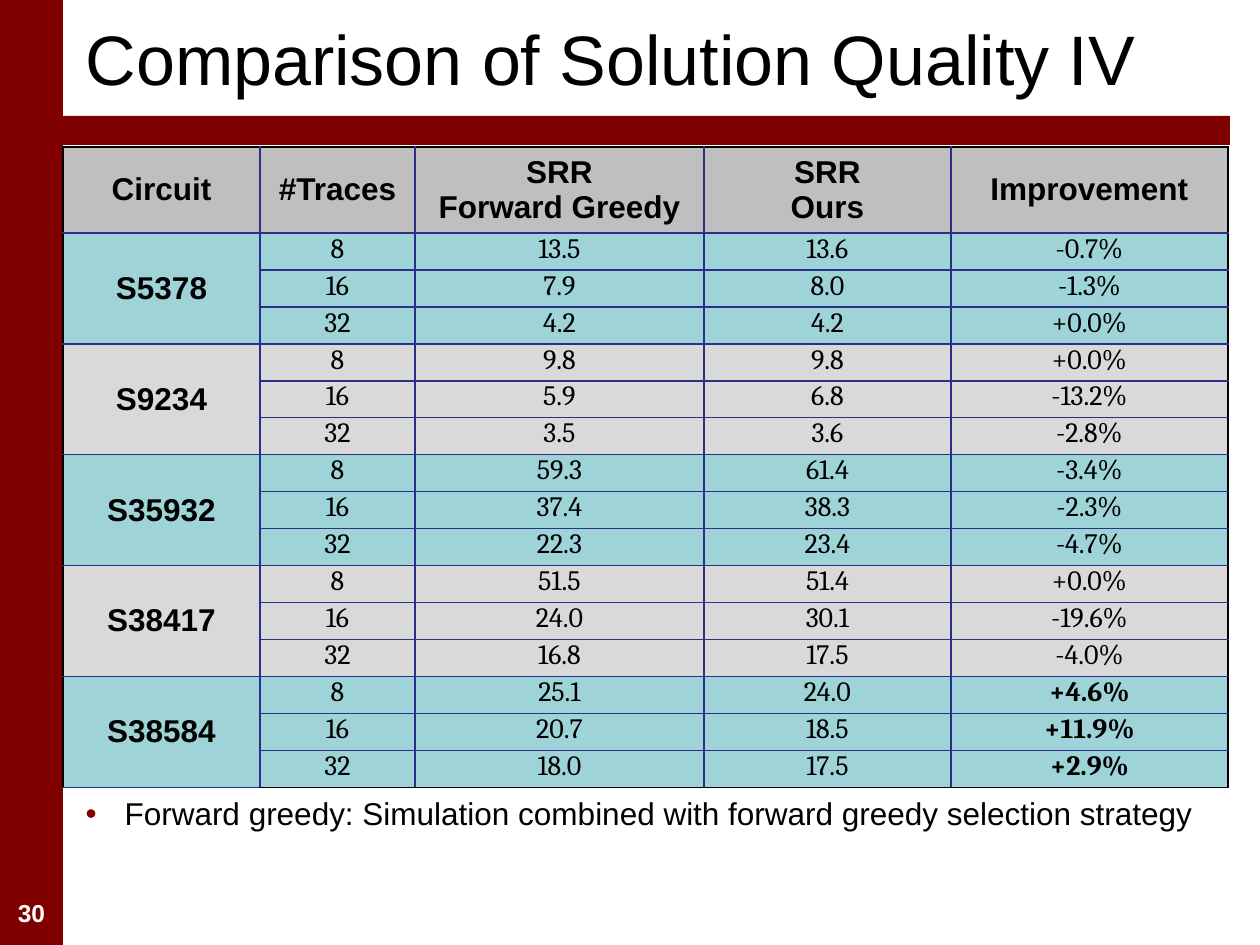
from pptx import Presentation, util as u
from pptx.dml import color
from pptx.enum import shapes, text
from pptx.oxml import ns, parse_xml

PX = u.Inches(10) // 1260  # one px in EMU
THEME = {
    "maroon": "800000", "ink": "000000", "paper": "FFFFFF", "rule": "2D2D8A",
    "header": "BFBFBF", "bands": ("9ED3D7", "D9D9D9"),
    "sans": "Arial", "serif": "Cambria",
    "title": 40, "label": 18, "figure": 16, "number": 14,
}


def write(frame, content, font, size, ink, bold=False, align=text.PP_ALIGN.CENTER):
    frame.text = content
    for paragraph in frame.paragraphs:
        paragraph.alignment = align
        for run in paragraph.runs:
            run.font.name = font
            run.font.size = u.Pt(size)
            run.font.bold = bold
            run.font.color.rgb = color.RGBColor.from_string(ink)


def place(holder, left, top, width, height):
    holder.left, holder.top = left * PX, top * PX
    holder.width, holder.height = width * PX, height * PX


prs = Presentation()
prs.slide_width, prs.slide_height = 1260 * PX, 945 * PX
slide = prs.slides.add_slide(prs.slide_layouts[1])

# Sidebar and band under the title
for box in ((0, 0, 63, 945), (53, 116, 1177, 29)):
    bar = slide.shapes.add_shape(shapes.MSO_SHAPE.RECTANGLE, *(n * PX for n in box))
    bar.shadow.inherit = False
    bar.fill.solid()
    bar.fill.fore_color.rgb = color.RGBColor.from_string(THEME["maroon"])
    bar.line.fill.background()

# Page number
number = slide.shapes.add_textbox(0, 892 * PX, 63 * PX, 42 * PX)
number.text_frame.word_wrap = True
write(number.text_frame, "30", THEME["sans"], THEME["number"], THEME["paper"], True)

# Title
title = slide.shapes.title
place(title, 73, -10, 1155, 136)
title.text_frame.auto_size = text.MSO_AUTO_SIZE.NONE
title.text_frame.vertical_anchor = text.MSO_ANCHOR.MIDDLE
write(title.text_frame, "Comparison of Solution Quality IV", THEME["sans"],
      THEME["title"], THEME["ink"], align=text.PP_ALIGN.LEFT)

# Results: three trace counts for each circuit
headings = ("Circuit", "#Traces", "SRR\nForward Greedy", "SRR\nOurs", "Improvement")
traces = ("8", "16", "32")
results = {
    "S5378": (("13.5", "13.6", "-0.7%"), ("7.9", "8.0", "-1.3%"), ("4.2", "4.2", "+0.0%")),
    "S9234": (("9.8", "9.8", "+0.0%"), ("5.9", "6.8", "-13.2%"), ("3.5", "3.6", "-2.8%")),
    "S35932": (("59.3", "61.4", "-3.4%"), ("37.4", "38.3", "-2.3%"), ("22.3", "23.4", "-4.7%")),
    "S38417": (("51.5", "51.4", "+0.0%"), ("24.0", "30.1", "-19.6%"), ("16.8", "17.5", "-4.0%")),
    "S38584": (("25.1", "24.0", "+4.6%"), ("20.7", "18.5", "+11.9%"), ("18.0", "17.5", "+2.9%")),
}
rows = [headings]
for circuit, figures in results.items():
    for i, (count, values) in enumerate(zip(traces, figures)):
        rows.append(("" if i else circuit, count, *values))

column_widths = (197, 155, 289, 247, 277)
row_heights = (86,) + (37,) * (len(rows) - 1)
comparison = slide.shapes.add_table(
    len(rows), len(headings), 63 * PX, 147 * PX,
    sum(column_widths) * PX, sum(row_heights) * PX).table
comparison.first_row = comparison.horz_banding = False
for column, width in zip(comparison.columns, column_widths):
    column.width = width * PX
for row, height in zip(comparison.rows, row_heights):
    row.height = height * PX

last_row, last_column = len(rows) - 1, len(headings) - 1
for r, row in enumerate(rows):
    for c, content in enumerate(row):
        cell = comparison.cell(r, c)
        is_label = r == 0 or c == 0
        is_gain = c == last_column and content.startswith("+") and content != "+0.0%"
        cell.margin_left = cell.margin_right = PX
        cell.margin_top = cell.margin_bottom = 0
        cell.vertical_anchor = text.MSO_ANCHOR.MIDDLE if is_label else text.MSO_ANCHOR.TOP
        write(cell.text_frame, content, THEME["sans" if is_label else "serif"],
              THEME["label" if is_label else "figure"], THEME["ink"], is_label or is_gain)

        # Black outer frame, blue inner rules
        outer = {"L": c == 0, "R": c == last_column, "T": r == 0, "B": r == last_row}
        for side, on_frame in outer.items():
            rule = THEME["ink" if on_frame else "rule"]
            cell._tc.get_or_add_tcPr().append(parse_xml(
                f'<a:ln{side} {ns.nsdecls("a")} w="{u.Pt(1)}"><a:solidFill>'
                f'<a:srgbClr val="{rule}"/></a:solidFill></a:ln{side}>'))
        cell.fill.solid()
        shade = THEME["bands"][(r - 1) // len(traces) % 2] if r else THEME["header"]
        cell.fill.fore_color.rgb = color.RGBColor.from_string(shade)

for first in range(1, len(rows), len(traces)):
    comparison.cell(first, 0).merge(comparison.cell(first + len(traces) - 1, 0))

# Note below the table
note = slide.placeholders[1]
place(note, 73, 788, 1187, 50)
note.text_frame.auto_size = text.MSO_AUTO_SIZE.NONE
write(note.text_frame,
      "Forward greedy: Simulation combined with forward greedy selection strategy",
      THEME["sans"], THEME["label"], THEME["ink"], align=text.PP_ALIGN.LEFT)
item = note.text_frame.paragraphs[0]
item.space_before = 0
properties = item._p.get_or_add_pPr()
properties.set("marL", str(39 * PX))
properties.set("indent", str(-39 * PX))
for bullet in (f'<a:buClr {ns.nsdecls("a")}><a:srgbClr val="{THEME["maroon"]}"/></a:buClr>',
               f'<a:buChar {ns.nsdecls("a")} char="•"/>'):
    properties.append(parse_xml(bullet))

prs.save("out.pptx")
